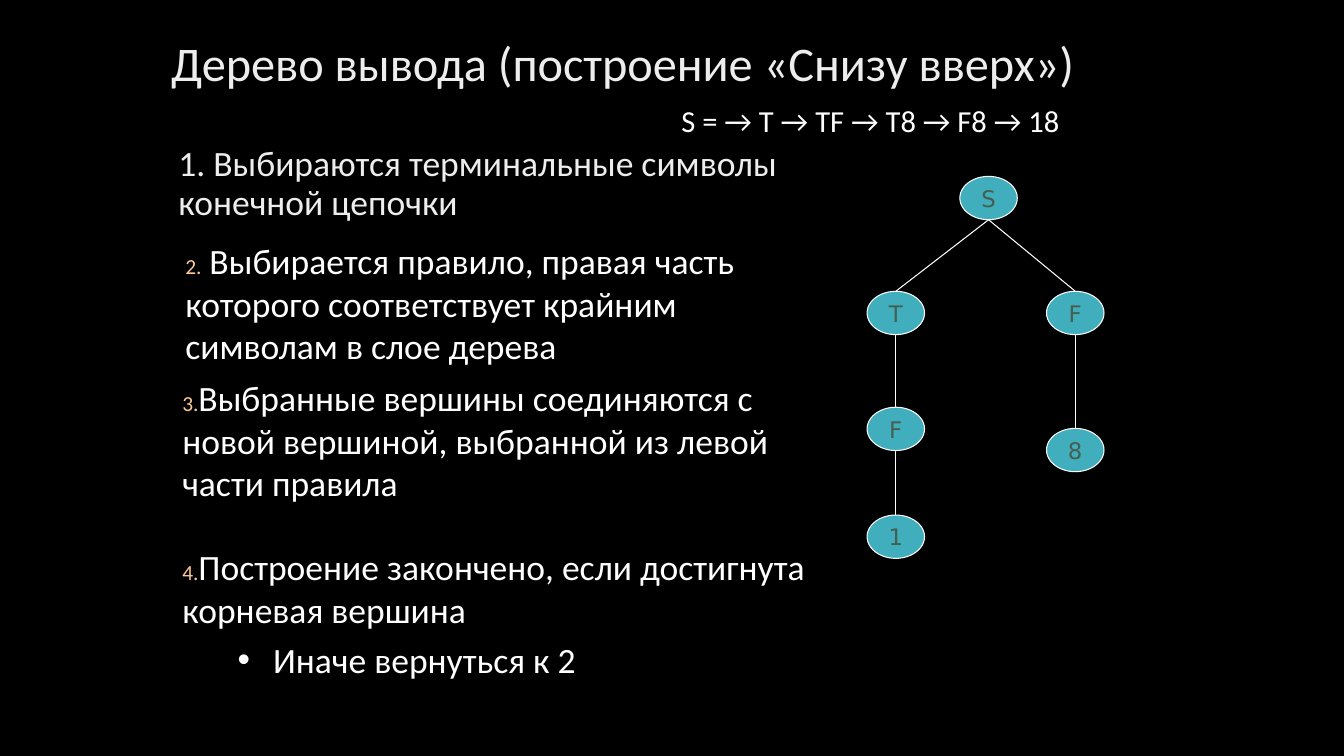
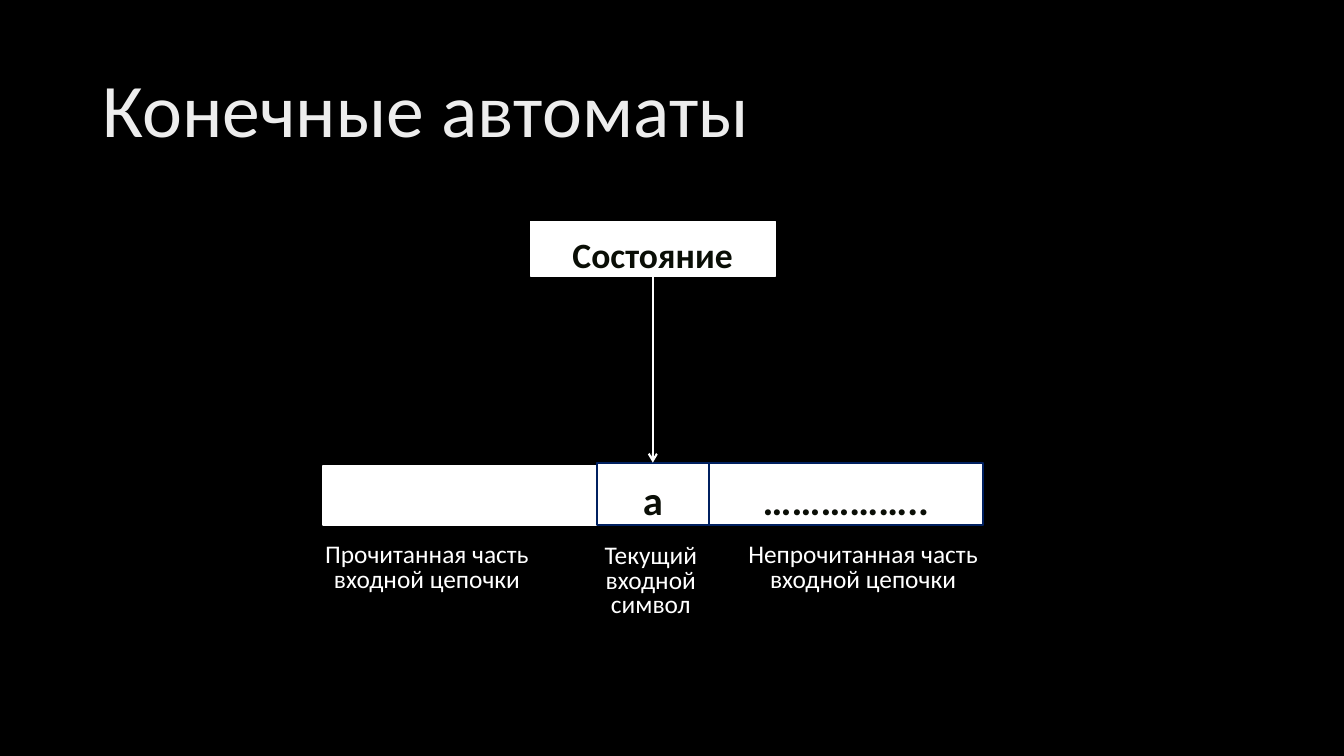
from lxml.etree import SubElement
from pptx import Presentation
from pptx.dml.color import RGBColor
from pptx.enum.shapes import MSO_CONNECTOR, MSO_SHAPE
from pptx.enum.text import MSO_ANCHOR, PP_ALIGN
from pptx.oxml.ns import qn
from pptx.util import Inches, Pt

BLACK = RGBColor(0x00, 0x00, 0x00)
WHITE = RGBColor(0xFF, 0xFF, 0xFF)
PALE = RGBColor(0xED, 0xED, 0xED)
TEAL = RGBColor(0x41, 0xAE, 0xBD)
GREEN = RGBColor(0x45, 0x5F, 0x51)
INK = RGBColor(0x0A, 0x0E, 0x06)
NAVY = RGBColor(0x00, 0x20, 0x60)
PEACH = RGBColor(0xFB, 0xCA, 0x98)

NODE_WIDTH, NODE_HEIGHT = 0.57, 0.43
BODY_SIZE = 25.4


def write(paragraph, text, size=BODY_SIZE, color=WHITE, font="Calibri", bold=False,
          align=PP_ALIGN.LEFT, line_spacing=1.0, before=0, after=0):
    paragraph.alignment = align
    paragraph.line_spacing = line_spacing
    paragraph.space_before, paragraph.space_after = Pt(before), Pt(after)
    run = paragraph.add_run()
    run.text = text
    run.font.name, run.font.size, run.font.bold = font, Pt(size), bold
    run.font.color.rgb = color


def add_bullet(paragraph, color, number=None, scale=100, margin=0, indent=0):
    """Number the paragraph from the given number, or mark it with a dot."""
    properties = paragraph._p.get_or_add_pPr()
    properties.set("marL", str(Inches(margin)))
    properties.set("indent", str(Inches(indent)))
    SubElement(SubElement(properties, qn("a:buClr")), qn("a:srgbClr"), val=str(color))
    SubElement(properties, qn("a:buSzPct"), val=str(scale * 1000))
    if number is None:
        SubElement(properties, qn("a:buFont"), typeface="Arial")
        SubElement(properties, qn("a:buChar"), char="•")
    else:
        SubElement(properties, qn("a:buFont"), typeface="Calibri")
        SubElement(properties, qn("a:buAutoNum"), type="arabicPeriod", startAt=str(number))


class Deck:
    """The presentation, its style and the slide being filled."""

    def __init__(self):
        self.presentation = Presentation()
        self.presentation.slide_width = Inches(13.33)
        self.presentation.slide_height = Inches(7.5)
        self.slide = None

    def new_slide(self, title, left, top, width, height, size):
        self.slide = self.presentation.slides.add_slide(self.presentation.slide_layouts[6])
        background = self.slide.background.fill
        background.solid()
        background.fore_color.rgb = BLACK
        box = self.text(title, left, top, width, height, size=size, color=PALE, line_spacing=0.9)
        box.text_frame.vertical_anchor = MSO_ANCHOR.MIDDLE

    def text(self, text, left, top, width, height, **style):
        box = self.slide.shapes.add_textbox(
            Inches(left), Inches(top), Inches(width), Inches(height))
        box.text_frame.word_wrap = True
        write(box.text_frame.paragraphs[0], text, **style)
        return box

    def step(self, number, text, left, top, width, height, bullet_color=PEACH, scale=60, **style):
        box = self.text(text, left, top, width, height, **style)
        add_bullet(box.text_frame.paragraphs[0], bullet_color, number, scale)
        return box

    def shape(self, kind, left, top, width, height, fill, line, line_width):
        shape = self.slide.shapes.add_shape(
            kind, Inches(left), Inches(top), Inches(width), Inches(height))
        shape.shadow.inherit = False
        shape.fill.solid()
        shape.fill.fore_color.rgb = fill
        shape.line.color.rgb = line
        shape.line.width = Pt(line_width)
        return shape

    def node(self, label, left, top):
        ellipse = self.shape(MSO_SHAPE.OVAL, left, top, NODE_WIDTH, NODE_HEIGHT, TEAL, WHITE, 0.75)
        ellipse.text_frame.word_wrap = False
        ellipse.text_frame.vertical_anchor = MSO_ANCHOR.MIDDLE
        write(ellipse.text_frame.paragraphs[0], label, size=16.3, color=GREEN,
              font="DejaVu Sans", align=PP_ALIGN.CENTER)
        return ellipse

    def cell(self, text, left, top, width, height, line=NAVY, line_width=1.5, size=29):
        rectangle = self.shape(MSO_SHAPE.RECTANGLE, left, top, width, height,
                               WHITE, line, line_width)
        if text:
            rectangle.text_frame.word_wrap = True
            rectangle.text_frame.vertical_anchor = MSO_ANCHOR.TOP
            write(rectangle.text_frame.paragraphs[0], text, size=size, color=INK, bold=True,
                  align=PP_ALIGN.CENTER, line_spacing=1.15, after=9.1)
        return rectangle

    def line(self, upper, lower, width):
        """Draw a line from the bottom of one shape to the top of another."""
        connector = self.slide.shapes.add_connector(
            MSO_CONNECTOR.STRAIGHT,
            upper.left + upper.width // 2, upper.top + upper.height,
            lower.left + lower.width // 2, lower.top)
        connector.line.color.rgb = WHITE
        connector.line.width = Pt(width)
        SubElement(connector._element.spPr, qn("a:effectLst"))
        return connector

    def arrow(self, upper, lower):
        connector = self.line(upper, lower, 1.5)
        connector.begin_connect(upper, 2)
        connector.end_connect(lower, 0)
        SubElement(connector.line._get_or_add_ln(), qn("a:tailEnd"), type="arrow")


def build_derivation_tree(deck):
    deck.new_slide("Дерево вывода (построение «Снизу вверх»)", 1.6, 0.03, 10.14, 1.25, 34.5)
    deck.step(1, " Выбираются терминальные символы конечной цепочки", 1.67, 1.4, 7.07, 1.14,
              bullet_color=PALE, scale=100, color=PALE, line_spacing=0.9, before=10)

    left_column, right_column = 8.6, 10.38
    root = deck.node("S", 9.52, 1.75)
    branches = [
        [("T", left_column, 2.89), ("F", left_column, 4.04), ("1", left_column, 5.11)],
        [("F", right_column, 2.89), ("8", right_column, 4.25)],
    ]
    for branch in branches:
        parent = root
        for label, left, top in branch:
            child = deck.node(label, left, top)
            deck.line(parent, child, 0.75)
            parent = child

    deck.text("S = → Т → TF → T8 → F8 → 18", 6.66, 0.96, 4.07, 0.47, size=21.8)
    deck.step(2, " Выбирается правило, правая часть которого соответствует крайним символам в слое дерева",
              1.74, 2.32, 6.56, 1.84, before=5)
    deck.step(3, "Выбранные вершины соединяются с новой вершиной, выбранной из левой части правила",
              1.71, 3.68, 6.56, 1.86, before=5)
    last_step = deck.step(4, "Построение закончено, если достигнута корневая вершина",
                          1.71, 5.36, 6.9, 1.5, before=5)
    otherwise = last_step.text_frame.add_paragraph()
    otherwise.level = 1
    write(otherwise, "Иначе вернуться к 2", before=5)
    add_bullet(otherwise, WHITE, margin=0.9, indent=-0.35)


def build_finite_automata(deck):
    deck.new_slide("Конечные автоматы", 0.92, 0.4, 11.5, 1.45, 54)
    state = deck.cell("Состояние", 5.26, 2.2, 2.43, 0.54, line=WHITE, line_width=1, size=BODY_SIZE)
    deck.cell("", 3.2, 4.62, 2.72, 0.59, line=WHITE)
    current = deck.cell("а", 5.92, 4.59, 1.11, 0.62)
    deck.cell("……………..", 7.03, 4.59, 2.72, 0.62)
    deck.arrow(state, current)

    captions = [
        ("Прочитанная часть входной цепочки", 3.02, 5.35, 2.43),
        ("Непрочитанная часть входной цепочки", 7.31, 5.35, 2.5),
        ("Текущий входной символ", 5.74, 5.36, 1.43),
    ]
    for text, left, top, width in captions:
        deck.text(text, left, top, width, 0.65, size=18.1, align=PP_ALIGN.CENTER,
                  line_spacing=0.8, after=9.1)


def main():
    deck = Deck()
    build_derivation_tree(deck)
    build_finite_automata(deck)
    deck.presentation.save("out.pptx")


if __name__ == "__main__":
    main()
